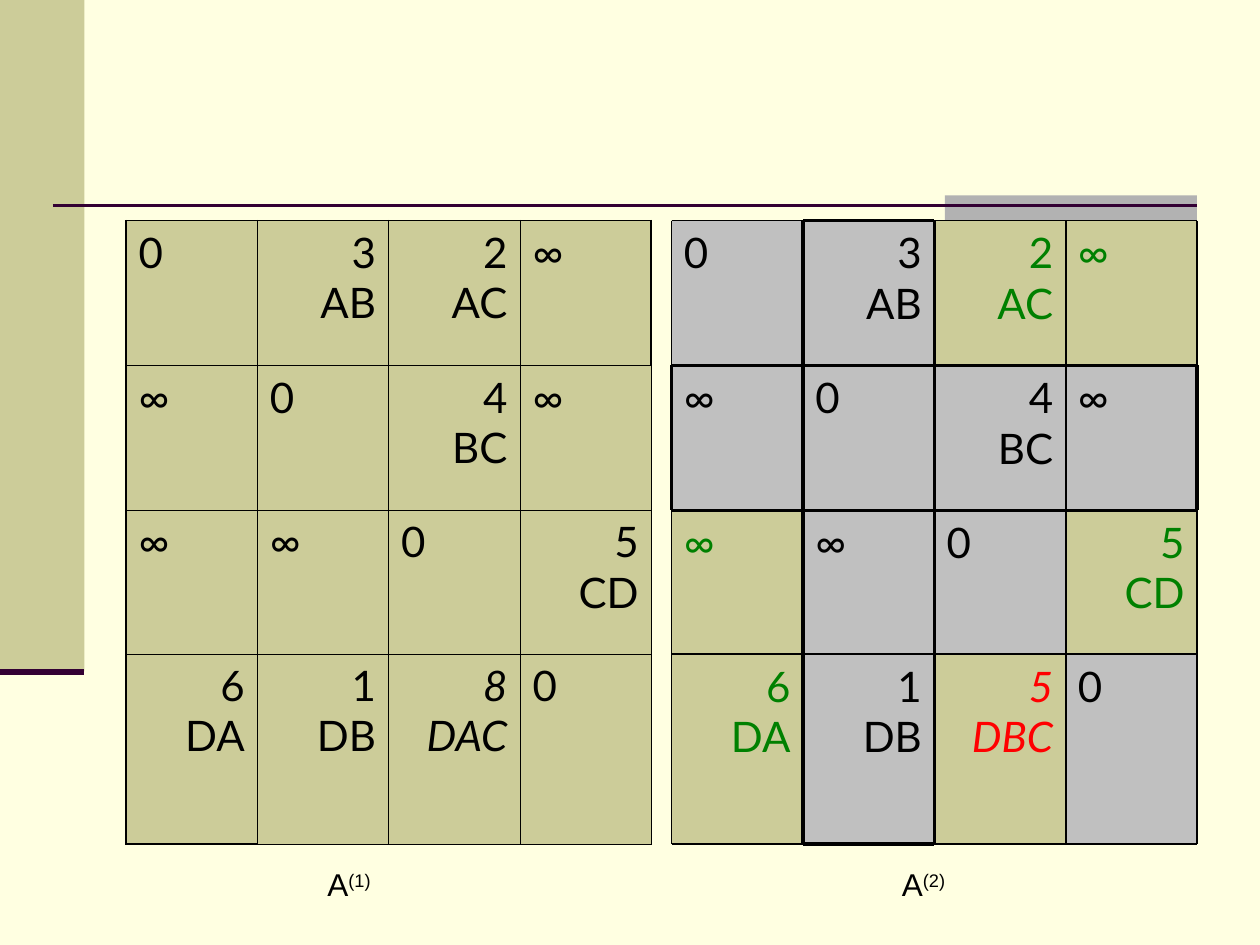
from lxml.etree import SubElement
from pptx import Presentation
from pptx.dml.color import RGBColor
from pptx.enum.shapes import MSO_CONNECTOR as Connector, MSO_SHAPE as Shape
from pptx.enum.text import MSO_ANCHOR as Anchor, MSO_AUTO_SIZE as AutoSize, PP_ALIGN as Align
from pptx.oxml.ns import qn
from pptx.util import Inches, Pt

COLORS = {
    "background": "FFFFE1", "khaki": "CCCC99", "gray": "B2B2B2", "silver": "C0C0C0",
    "plum": "330033", "black": "000000", "green": "008000", "red": "FF0000",
}
SLIDE_WIDTH, SLIDE_HEIGHT = 10, 7.5
COLUMN_WIDTH = 4.17 / 4
ROW_EDGES = [1.75, 2.9, 4.05, 5.19, 6.7]
FIRST_LEFT, SECOND_LEFT = 1, 5.33
PIVOT = 1  # row and column of vertex B

FIRST_MATRIX = [
    ["0", "3 AB", "2 AC", "∞"],
    ["∞", "0", "4 BC", "∞"],
    ["∞", "∞", "0", "5 CD"],
    ["6 DA", "1 DB", "8 DAC", "0"],
]
CHANGED_CELL = (3, 2)
CHANGED_VALUE = "5 DBC"

# Column and row of the start, column and row of the end, width in points
GRID_LINES = [
    (0, 0, 1, 0, 1), (0, 4, 1, 4, 1), (0, 0, 0, 1, 1), (4, 0, 4, 1, 1),
    (1, 0, 2, 0, 2), (0, 1, 4, 1, 2), (0, 1, 0, 2, 2), (1, 0, 1, 4, 2),
    (2, 0, 4, 0, 1), (2, 0, 2, 4, 2), (3, 0, 3, 4, 1), (4, 1, 4, 2, 2),
    (0, 2, 4, 2, 2), (0, 2, 0, 4, 1), (4, 2, 4, 4, 1), (0, 3, 4, 3, 1),
    (1, 4, 2, 4, 2), (2, 4, 4, 4, 1),
]


def rgb(name):
    return RGBColor.from_string(COLORS[name])


def add_rectangle(slide, left, top, width, height, color):
    shape = slide.shapes.add_shape(
        Shape.RECTANGLE, Inches(left), Inches(top), Inches(width), Inches(height))
    shape.shadow.inherit = False
    shape.fill.solid()
    shape.fill.fore_color.rgb = rgb(color)
    shape.line.fill.background()
    return shape


def add_line(slide, start, end, color, width):
    line = slide.shapes.add_connector(
        Connector.STRAIGHT, *(Inches(length) for length in (*start, *end)))
    line.line.color.rgb = rgb(color)
    line.line.width = Pt(width)
    SubElement(line._element.spPr, qn("a:effectLst"))


def add_run(paragraph, text, font, size, color="black", italic=False):
    run = paragraph.add_run()
    run.text = text
    run.font.name, run.font.size, run.font.italic = font, Pt(size), italic
    run.font.color.rgb = rgb(color)
    return run


def write_entry(text_frame, entry, color="black", italic=False):
    """Write a distance, with its path right-aligned below when there is one."""
    parts = entry.split()
    for index, part in enumerate(parts):
        paragraph = text_frame.add_paragraph() if index else text_frame.paragraphs[0]
        paragraph.alignment = Align.RIGHT if len(parts) > 1 else Align.LEFT
        properties = paragraph._p.get_or_add_pPr()
        properties.set("marL", str(Inches(0.38)))
        properties.set("indent", str(Inches(-0.38)))
        add_run(paragraph, part, "Lato", 24, color, italic)


def set_borders(cell, heavy_sides):
    properties = cell._tc.get_or_add_tcPr()
    for side in "LRTB":
        width = Pt(0.96 if side in heavy_sides else 0.45)
        border = SubElement(properties, qn(f"a:ln{side}"), w=str(width))
        fill = SubElement(border, qn("a:solidFill"))
        SubElement(fill, qn("a:srgbClr"), val=COLORS["black"])


def find_heavy_sides(row, column):
    rules = {
        "L": column <= 1,
        "R": column == 0 or (row, column) == (0, 3),
        "T": row <= 1,
        "B": row == 0 or (row, column) == (3, 0),
    }
    return [side for side, heavy in rules.items() if heavy]


def add_matrix_table(slide):
    table = slide.shapes.add_table(
        4, 4, Inches(FIRST_LEFT), Inches(ROW_EDGES[0]),
        Inches(4 * COLUMN_WIDTH), Inches(ROW_EDGES[-1] - ROW_EDGES[0])).table
    table.first_row = table.horz_banding = False
    for column in table.columns:
        column.width = Inches(COLUMN_WIDTH)
    for row, entries in enumerate(FIRST_MATRIX):
        table.rows[row].height = Inches(ROW_EDGES[row + 1] - ROW_EDGES[row])
        for column, entry in enumerate(entries):
            cell = table.cell(row, column)
            set_borders(cell, find_heavy_sides(row, column))
            cell.fill.solid()
            cell.fill.fore_color.rgb = rgb("khaki")
            write_entry(cell.text_frame, entry, italic=(row, column) == CHANGED_CELL)


def add_matrix_cell(slide, row, column, entry):
    """Add a cell: silver in the pivot row, pivot column and diagonal."""
    fixed = PIVOT in (row, column) or row == column
    changed = (row, column) == CHANGED_CELL
    shape = add_rectangle(
        slide, SECOND_LEFT + column * COLUMN_WIDTH, ROW_EDGES[row], COLUMN_WIDTH,
        ROW_EDGES[row + 1] - ROW_EDGES[row], "silver" if fixed else "khaki")
    shape.text_frame.word_wrap = True
    shape.text_frame.vertical_anchor = Anchor.TOP
    color = "black" if fixed else "red" if changed else "green"
    write_entry(shape.text_frame, CHANGED_VALUE if changed else entry, color, changed)


def add_matrix_shapes(slide):
    for row, entries in enumerate(FIRST_MATRIX):
        for column, entry in enumerate(entries):
            add_matrix_cell(slide, row, column, entry)
    for column, row, end_column, end_row, width in GRID_LINES:
        start = SECOND_LEFT + column * COLUMN_WIDTH, ROW_EDGES[row]
        end = SECOND_LEFT + end_column * COLUMN_WIDTH, ROW_EDGES[end_row]
        add_line(slide, start, end, "black", width)


def add_caption(slide, left, step):
    box = slide.shapes.add_textbox(Inches(left), Inches(6.82), Inches(0.6), Inches(0.4))
    box.fill.solid()
    box.fill.fore_color.rgb = rgb("background")
    box.text_frame.word_wrap = True
    box.text_frame.auto_size = AutoSize.NONE
    paragraph = box.text_frame.paragraphs[0]
    add_run(paragraph, "A", "Arial", 18)
    superscript = add_run(paragraph, f"({step})", "Arial", 18)
    superscript._r.get_or_add_rPr().set("baseline", "30000")


def add_decoration(slide):
    add_rectangle(slide, 0, 0, 0.67, 5.33, "khaki")
    add_rectangle(slide, 7.5, 1.55, 2, 0.2, "gray")
    add_line(slide, (0.42, 1.63), (9.5, 1.63), "plum", 1.5)
    add_line(slide, (0, 5.33), (0.67, 5.33), "plum", 3.5)


def main():
    presentation = Presentation()
    presentation.slide_width = Inches(SLIDE_WIDTH)
    presentation.slide_height = Inches(SLIDE_HEIGHT)
    slide = presentation.slides.add_slide(presentation.slide_layouts[6])
    slide.background.fill.solid()
    slide.background.fill.fore_color.rgb = rgb("background")
    add_decoration(slide)
    add_matrix_table(slide)
    add_matrix_shapes(slide)
    add_caption(slide, 2.5, 1)
    add_caption(slide, 7.06, 2)
    presentation.save("out.pptx")


if __name__ == "__main__":
    main()
